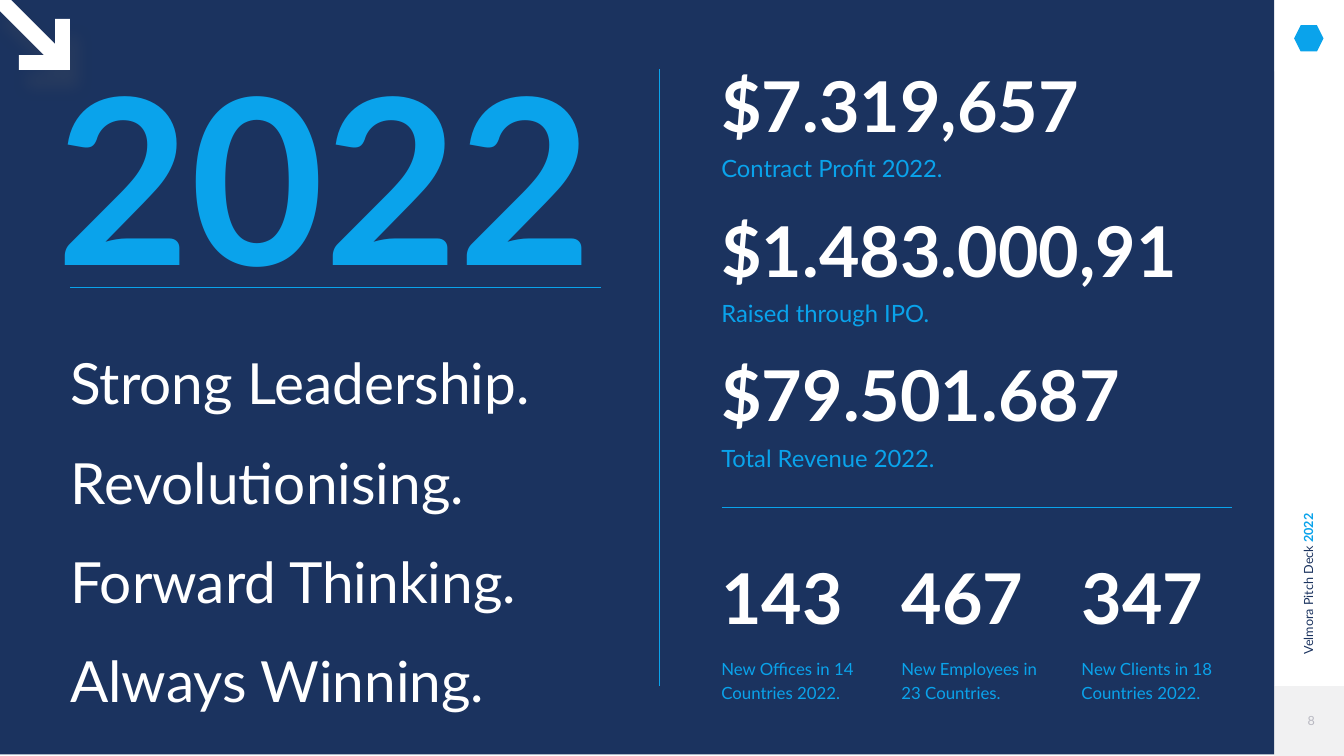
from lxml import etree
from pptx import Presentation
from pptx.dml.color import RGBColor
from pptx.enum.shapes import MSO_CONNECTOR, MSO_SHAPE
from pptx.enum.text import MSO_ANCHOR as Anchor, MSO_AUTO_SIZE as AutoSize, PP_ALIGN as Align
from pptx.oxml.ns import qn
from pptx.util import Pt

PX = 9525
FONT = "Lato"
NAVY = RGBColor(0x1B, 0x33, 0x5F)
BLUE = RGBColor(0x0A, 0xA3, 0xEB)
WHITE = RGBColor(0xFF, 0xFF, 0xFF)
GREY = RGBColor(0xB9, 0xB9, 0xC2)
SHADOW = RGBColor(0x5E, 0x5E, 0x5E)

STATEMENTS = ["Strong Leadership.", "Revolutionising.", "Forward Thinking.", "Always Winning."]
RESULTS = [
    ("$7.319,657", "Contract Profit 2022."),
    ("$1.483.000,91", "Raised through IPO."),
    ("$79.501.687", "Total Revenue 2022."),
]
GROWTH = [
    ("143", "New Offices in 14 Countries 2022."),
    ("467", "New Employees in 23 Countries."),
    ("347", "New Clients in 18 Countries 2022."),
]


def px(*lengths):
    return [length * PX for length in lengths]


def write(paragraph, text, *, size, color, bold=False, spacing=1.0, before=0, align=Align.LEFT):
    """Append a run and set the format of its paragraph."""
    paragraph.line_spacing = spacing
    paragraph.space_before = Pt(before)
    paragraph.alignment = align
    run = paragraph.add_run()
    run.text = text
    run.font.name = FONT
    run.font.size = Pt(size)
    run.font.bold = bold
    run.font.color.rgb = color


def prepare_frame(frame, inset=(0, 0), anchor=Anchor.TOP, auto_size=AutoSize.SHAPE_TO_FIT_TEXT):
    """Set the frame's layout and return its first paragraph."""
    frame.word_wrap = True
    frame.auto_size = auto_size
    frame.vertical_anchor = anchor
    frame.margin_left = frame.margin_right = inset[0] * PX
    frame.margin_top = frame.margin_bottom = inset[1] * PX
    return frame.paragraphs[0]


def add_text_box(slide, box, **frame_format):
    """Return the new box and its first paragraph."""
    text_box = slide.shapes.add_textbox(*px(*box))
    return text_box, prepare_frame(text_box.text_frame, **frame_format)


def paint(shape, color, opacity=100):
    shape.shadow.inherit = False
    shape.line.fill.background()
    shape.fill.solid()
    shape.fill.fore_color.rgb = color
    if opacity < 100:
        tint = shape._element.spPr.find(qn("a:solidFill"))[0]
        etree.SubElement(tint, qn("a:alpha"), val=str(opacity * 1000))


def add_block(slide, box, color, opacity=100, preset=MSO_SHAPE.RECTANGLE):
    paint(slide.shapes.add_shape(preset, *px(*box)), color, opacity)


def add_rule(slide, *ends):
    rule = slide.shapes.add_connector(MSO_CONNECTOR.STRAIGHT, *px(*ends))
    rule.line.color.rgb = BLUE
    rule.line.width = Pt(1)
    etree.SubElement(rule._element.spPr, qn("a:effectLst"))


def add_title(slide):
    title = slide.shapes.title
    title.left, title.top, title.width, title.height = px(108, 121, 1062, 485)
    year = prepare_frame(title.text_frame)
    write(year, "2022", size=330, color=BLUE, bold=True, spacing=0.91)


def add_figure(slide, box, number, caption, **caption_format):
    """Add a large number with its caption below."""
    text_box, headline = add_text_box(slide, box)
    write(headline, number, size=100, color=WHITE, bold=True, spacing=0.95)
    write(text_box.text_frame.add_paragraph(), caption, color=BLUE, **caption_format)


def add_side_strip(slide):
    deck_label, paragraph = add_text_box(
        slide, (2289, 1031, 402, 41), inset=(6, 6), anchor=Anchor.MIDDLE)
    deck_label.rotation = 270
    write(paragraph, "Velmora Pitch Deck ", size=18, color=NAVY, spacing=1.1)
    write(paragraph, "2022", size=18, color=BLUE, bold=True, spacing=1.1)

    add_block(slide, (2427, 1307, 133, 133), GREY, opacity=20)
    add_block(slide, (2465, 48, 56, 50), BLUE, preset=MSO_SHAPE.HEXAGON)
    for segment in range(6):
        add_block(slide, (2427, 136 + 195 * segment, 1, 195), GREY, opacity=20)


def add_page_number(slide):
    _, paragraph = add_text_box(
        slide, (2459, 1351, 77, 41), inset=(10, 5), auto_size=AutoSize.NONE)
    write(paragraph, "8", size=18, color=GREY, spacing=1.1, align=Align.CENTER)


def add_corner_arrow(slide):
    corners = [(133, 36), (105, 36), (105, 84), (10, -11), (-11, 10),
               (84, 105), (36, 105), (36, 133), (133, 133)]
    outline = slide.shapes.build_freeform(*px(*corners[0]), scale=1.0)
    outline.add_line_segments([px(*corner) for corner in corners[1:]], close=True)
    arrow = outline.convert_to_shape()
    paint(arrow, WHITE)

    effects = arrow._element.spPr.find(qn("a:effectLst"))
    shadow = etree.SubElement(
        effects, qn("a:outerShdw"), blurRad=str(Pt(22)), dist=str(Pt(27.8)),
        dir=str(66 * 60000), rotWithShape="0")
    tint = etree.SubElement(shadow, qn("a:srgbClr"), val=str(SHADOW))
    etree.SubElement(tint, qn("a:alpha"), val="18000")


def main():
    deck = Presentation()
    deck.slide_width, deck.slide_height = px(2560, 1440)
    slide = deck.slides.add_slide(deck.slide_layouts[5])
    slide.background.fill.solid()
    slide.background.fill.fore_color.rgb = WHITE

    add_side_strip(slide)
    add_block(slide, (0, -1, 2427, 1438), NAVY)
    add_page_number(slide)

    # The title placeholder comes first in the tree; lift it above the panel.
    slide.shapes._spTree.append(slide.shapes.title._element)
    add_title(slide)
    add_rule(slide, 133, 547, 1144, 547)
    for row, statement in enumerate(STATEMENTS):
        _, paragraph = add_text_box(slide, (134, 636 + 189 * row, 973, 127))
        write(paragraph, statement, size=81, color=WHITE, spacing=1.21)

    for row, (amount, caption) in enumerate(RESULTS):
        add_figure(slide, (1374, 130 + 276 * row, 972, 208), amount, caption,
                   size=34, spacing=1.21)
    add_rule(slide, 1375, 966, 2347, 966)
    add_rule(slide, 1256, 1307, 1256, 131)
    for column, (count, caption) in enumerate(GROWTH):
        add_figure(slide, (1374 + 343 * column, 1068, 287, 248), count, caption,
                   size=24, spacing=1.2, before=20)

    add_corner_arrow(slide)
    deck.save("out.pptx")


if __name__ == "__main__":
    main()
